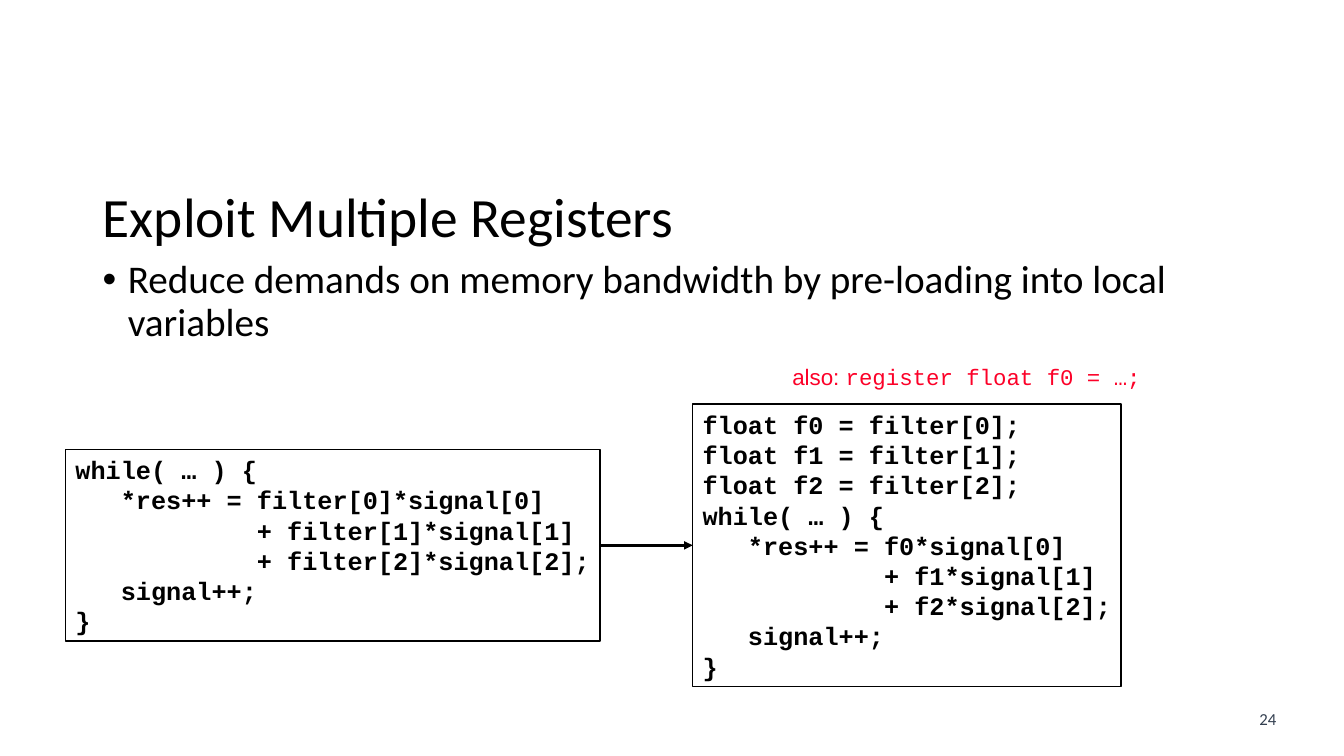
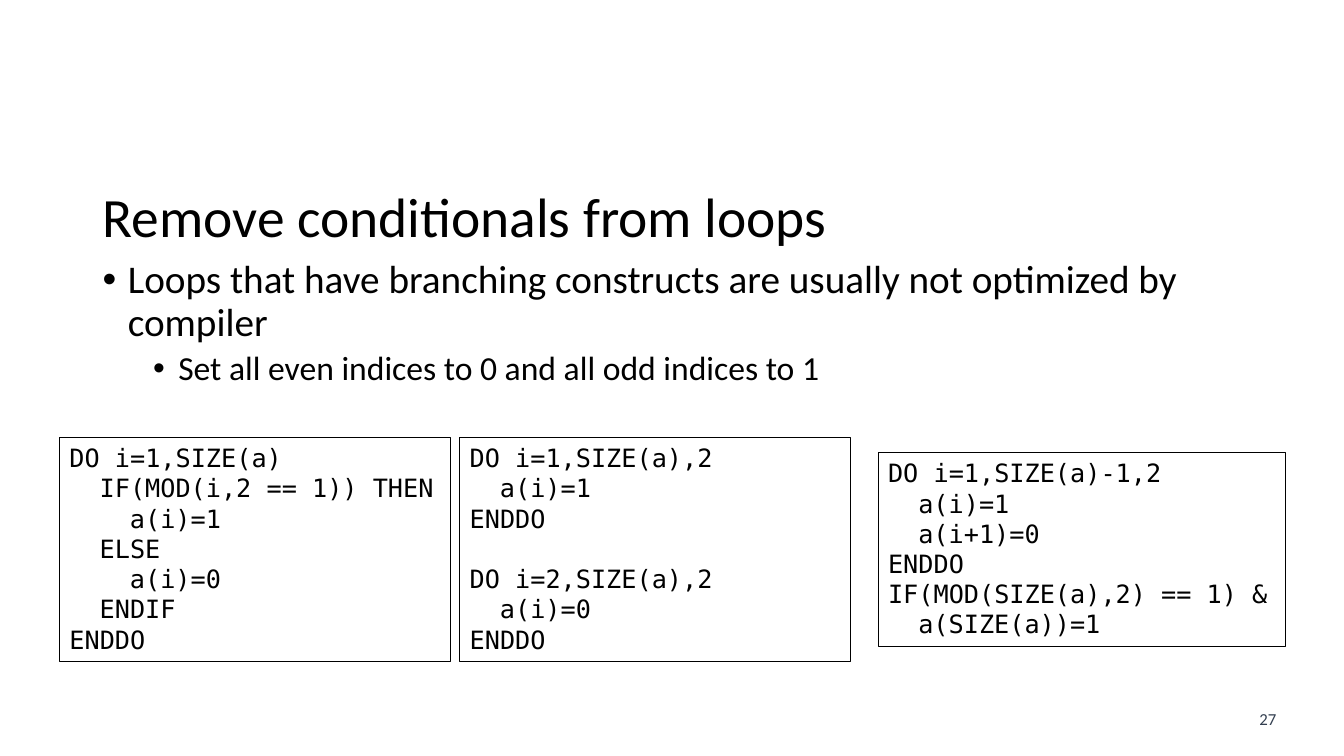
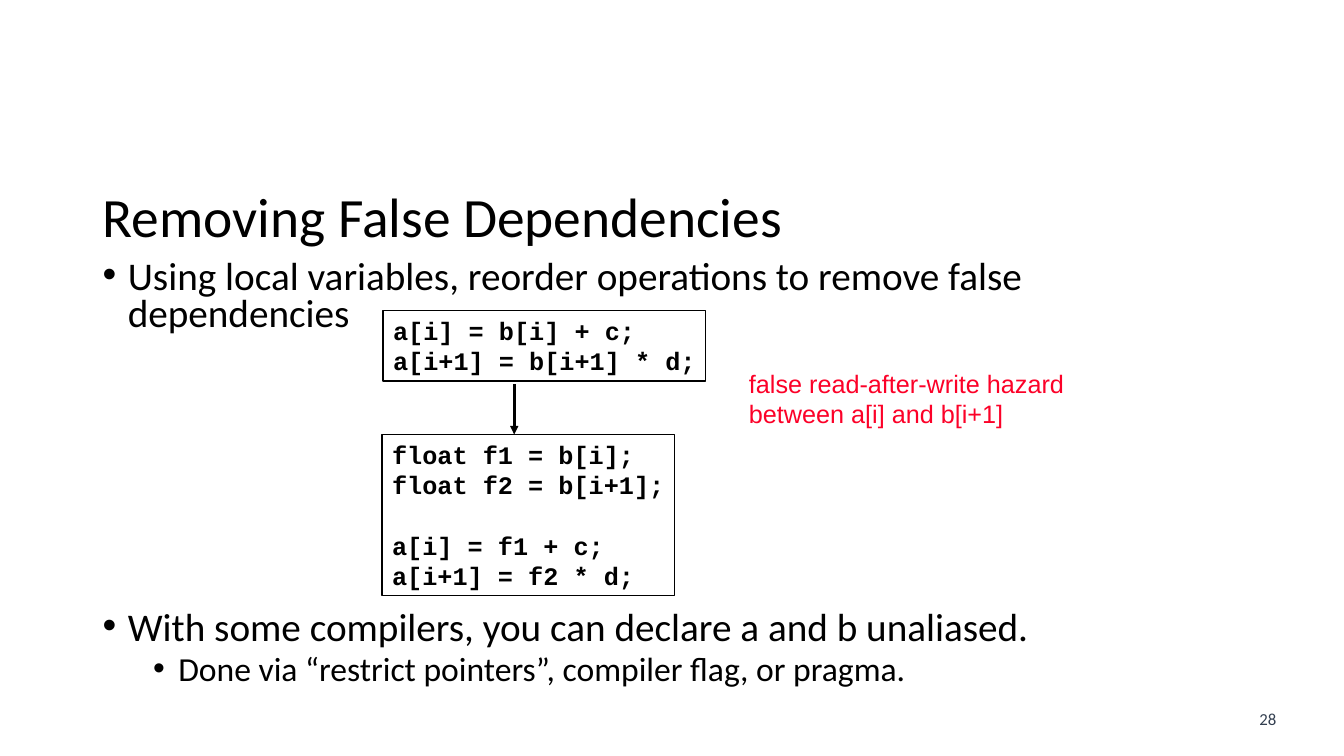
from lxml import etree
from pptx import Presentation
from pptx.dml.color import RGBColor
from pptx.enum.shapes import MSO_CONNECTOR, MSO_SHAPE
from pptx.enum.text import MSO_ANCHOR, MSO_AUTO_SIZE, PP_ALIGN
from pptx.oxml.ns import qn
from pptx.util import Inches, Pt

STRAIGHT, RECT = MSO_CONNECTOR.STRAIGHT, MSO_SHAPE.RECTANGLE
MIDDLE, TOP = MSO_ANCHOR.MIDDLE, MSO_ANCHOR.TOP
LEFT, CENTER = PP_ALIGN.LEFT, PP_ALIGN.CENTER
NO_AUTOFIT = MSO_AUTO_SIZE.NONE

BLACK, RED, SLATE = "000000", "FC0128", "333F50"
BODY_FONT, NOTE_FONT = "Calibri", "Arial"
COURIER, DEJAVU = "Courier New", "DejaVu Sans Mono"
CODE_SIZE, CODE_PITCH = 18, Pt(21.6)
CHAR_WIDTH = 0.15  # inches taken by one character of code
BULLET_SIZES, BULLET_GAPS = (28, 24), (10, 5)


def rgb(color):
    return RGBColor.from_string(color)


def write(tf, text, size=CODE_SIZE, font=BODY_FONT, color=BLACK, bold=False, align=LEFT,
          spacing=None, before=0, indent=0, level=0, bullet=False, same_line=False):
    """Add a paragraph, or with same_line a run at the end of the last one."""
    p = tf.paragraphs[-1]
    if not same_line:
        if p.runs:
            p = tf.add_paragraph()
        p.alignment, p.level = align, level
        p.space_before = Pt(before)
        if spacing:
            p.line_spacing = spacing
        pPr = p._p.get_or_add_pPr()
        pPr.set("marL", str(Inches(indent)))
        pPr.set("indent", str(Inches(-0.25 if bullet else 0)))
        if bullet:
            etree.SubElement(pPr, qn("a:buFont")).set("typeface", "Arial")
            etree.SubElement(pPr, qn("a:buChar")).set("char", "•")
    r = p.add_run()
    r.text = text
    r.font.size, r.font.name, r.font.bold = Pt(size), font, bold
    r.font.color.rgb = rgb(color)


# bullets: (level, text, extra space before in points)
# boxes: (left, top, width, height, code)
# notes: (left, top, width, height, size, lines of (text, font) runs)
# arrows: (from, to, indexes of the boxes joined side to side)
slides = [
    dict(
        number="24", title="Exploit Multiple Registers",
        bullets=[(0, "Reduce demands on memory bandwidth by pre-loading into local variables", 0)],
        font=COURIER, bold=True, line=1, wrap=False,
        boxes=[
            (0.65, 4.46, 5.3, 1.9, """\
while( … ) {
   *res++ = filter[0]*signal[0]
            + filter[1]*signal[1]
            + filter[2]*signal[2];
   signal++;
}"""),
            (6.87, 4.01, 4.25, 2.8, """\
float f0 = filter[0];
float f1 = filter[1];
float f2 = filter[2];
while( … ) {
   *res++ = f0*signal[0]
            + f1*signal[1]
            + f2*signal[2];
   signal++;
}"""),
        ],
        notes=[(7.76, 3.55, 3.67, 0.37, 16,
                [[("also: ", NOTE_FONT), ("register float f0 = …;", COURIER)]])],
        arrows=[((5.95, 5.41), (6.87, 5.41), (0, 1))],
    ),
    dict(
        number="27", title="Remove conditionals from loops",
        bullets=[
            (0, "Loops that have branching constructs are usually not optimized by compiler", 0),
            (1, "Set all even indices to 0 and all odd indices to 1", 0),
        ],
        font=DEJAVU, bold=False, line=0.75, wrap=True,
        boxes=[
            (0.59, 4.34, 3.88, 2.22, """\
DO i=1,SIZE(a)
  IF(MOD(i,2 == 1)) THEN
    a(i)=1
  ELSE
    a(i)=0
  ENDIF
ENDDO"""),
            (4.56, 4.34, 3.88, 2.22, """\
DO i=1,SIZE(a),2
  a(i)=1
ENDDO

DO i=2,SIZE(a),2
  a(i)=0
ENDDO"""),
            (8.71, 4.49, 4.04, 1.92, """\
DO i=1,SIZE(a)-1,2
  a(i)=1
  a(i+1)=0
ENDDO
IF(MOD(SIZE(a),2) == 1) &
  a(SIZE(a))=1"""),
        ],
        notes=[], arrows=[],
    ),
    dict(
        number="28", title="Removing False Dependencies",
        bullets=[
            (0, "Using local variables, reorder operations to remove false dependencies", 0),
            (0, "With some compilers, you can declare a and b unaliased.", 187),
            (1, "Done via “restrict pointers”, compiler flag, or pragma.", 0),
        ],
        spacing=0.8, font=COURIER, bold=True, line=1, wrap=False,
        boxes=[
            (3.8, 3.08, 3.2, 0.7, """\
a[i] = b[i] + c;
a[i+1] = b[i+1] * d;"""),
            (3.79, 4.31, 2.9, 1.6, """\
float f1 = b[i];
float f2 = b[i+1];

a[i] = f1 + c;
a[i+1] = f2 * d;"""),
        ],
        notes=[(7.33, 3.6, 3.33, 0.7, 18,
                [[("false read-after-write hazard", NOTE_FONT)],
                 [("between a[i] and b[i+1]", NOTE_FONT)]])],
        arrows=[((5.1, 3.81), (5.1, 4.31), None)],
    ),
]

prs = Presentation()
prs.slide_width, prs.slide_height = Inches(13.33), Inches(7.5)

for content in slides:
    s = prs.slides.add_slide(prs.slide_layouts[5])

    number = s.shapes.add_textbox(Inches(12.34), Inches(6.98), Inches(0.47), Inches(0.3))
    write(number.text_frame, content["number"], size=12, color=SLATE, align=CENTER)

    title = s.shapes.title
    title.left, title.top = Inches(0.92), Inches(1.83)
    title.width, title.height = Inches(11.5), Inches(0.7)
    tf = title.text_frame
    tf.auto_size, tf.vertical_anchor = NO_AUTOFIT, MIDDLE
    write(tf, content["title"], size=39.6, spacing=0.9)

    body = s.shapes.add_textbox(Inches(0.92), Inches(2.53), Inches(11.5), Inches(4.36))
    tf = body.text_frame
    tf.word_wrap = True
    for level, text, gap in content["bullets"]:
        write(tf, text, size=BULLET_SIZES[level], spacing=content.get("spacing", 0.9),
              before=BULLET_GAPS[level] + gap, indent=0.25 + 0.5 * level,
              level=level, bullet=True)

    boxes = []
    for *place, code in content["boxes"]:
        box = s.shapes.add_shape(RECT, *[Inches(v) for v in place])
        box.shadow.inherit = False
        box.fill.background()
        box.line.color.rgb, box.line.width = rgb(BLACK), Pt(content["line"])
        tf = box.text_frame
        tf.word_wrap, tf.vertical_anchor = content["wrap"], TOP
        gap = 0
        for line in code.splitlines():
            statement = line.lstrip()
            if not statement:
                gap = CODE_PITCH.pt
                continue
            write(tf, statement, font=content["font"], bold=content["bold"],
                  spacing=CODE_PITCH, before=gap,
                  indent=CHAR_WIDTH * (len(line) - len(statement)))
            gap = 0
        boxes.append(box)

    for *place, size, lines in content["notes"]:
        note = s.shapes.add_textbox(*[Inches(v) for v in place])
        tf = note.text_frame
        tf.word_wrap = False
        for runs in lines:
            for i, (text, font) in enumerate(runs):
                write(tf, text, size=size, font=font, color=RED,
                      spacing=Pt(size * 1.2), same_line=i > 0)

    for start, end, joined in content["arrows"]:
        arrow = s.shapes.add_connector(STRAIGHT, *[Inches(v) for v in start + end])
        if joined:
            arrow.begin_connect(boxes[joined[0]], 3)
            arrow.end_connect(boxes[joined[1]], 1)
        arrow.line.color.rgb, arrow.line.width = rgb(BLACK), Pt(2)
        etree.SubElement(arrow.line._get_or_add_ln(), qn("a:tailEnd")).set("type", "triangle")
        etree.SubElement(arrow._element.spPr, qn("a:effectLst"))

prs.save("out.pptx")
